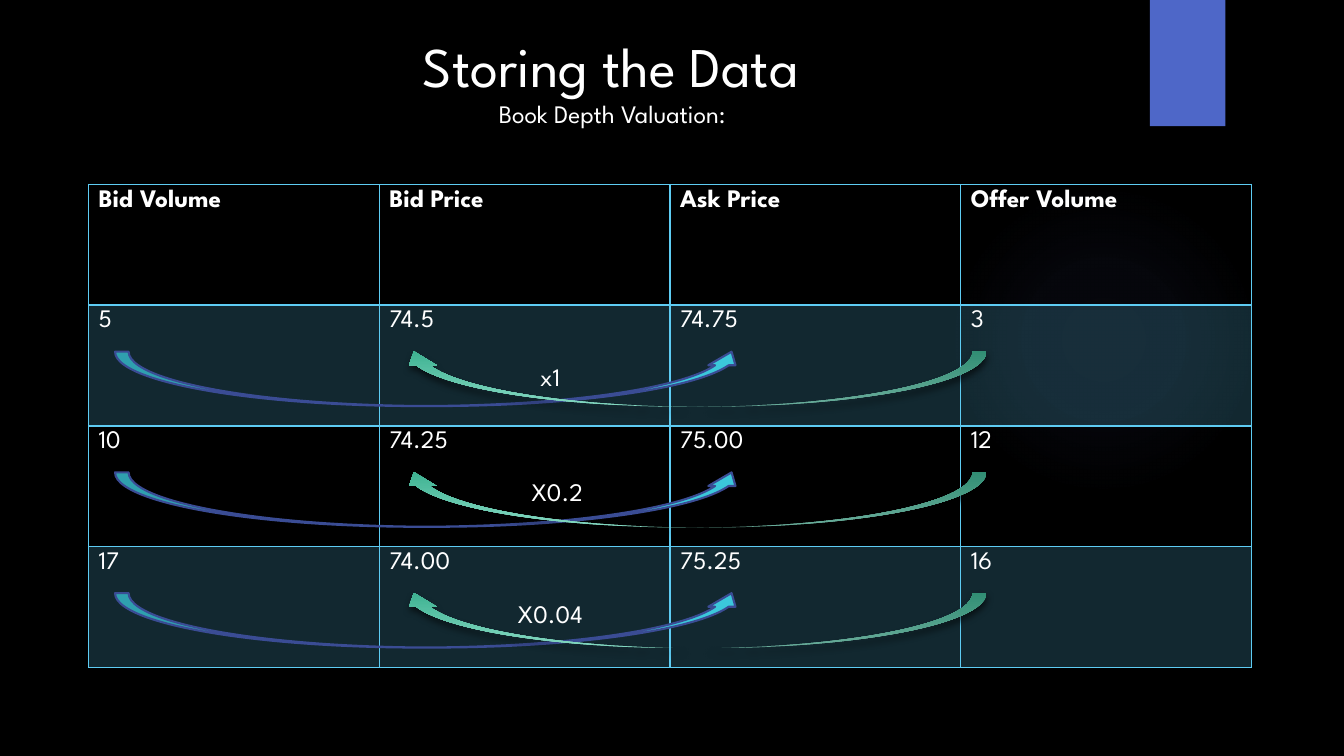
import pptx
import pptx.dml.color
import pptx.enum.shapes
import pptx.enum.text
import pptx.oxml
import pptx.oxml.ns
import pptx.util

Cm = pptx.util.Cm
Pt = pptx.util.Pt
KIND = pptx.enum.shapes.MSO_SHAPE
ALIGN = pptx.enum.text.PP_ALIGN
FONT = "League Spartan"
WHITE, SKY = "FFFFFF", "5ECCF3"
ROWS = [
    ("Bid Volume", "Bid Price", "Ask Price", "Offer Volume"),
    ("5", "74.5", "74.75", "3"),
    ("10", "74.25", "75.00", "12"),
    ("17", "74.00", "75.25", "16"),
]
# label, its left and top in the row, its width
SCALES = [("x1", 11, 1.29, 1.27), ("X0.2", 10.85, 1.15, 1.93), ("X0.04", 10.47, 1.18, 2.34)]


def color(code):
    return pptx.dml.color.RGBColor.from_string(code)


def parse(tag, body):
    """Make a DrawingML element from its tag with attributes and its content."""
    name = tag.split()[0]
    return pptx.oxml.parse_xml(
        f'<a:{tag} {pptx.oxml.ns.nsdecls("a")}>{body}</a:{name}>')


def tint(code, alpha=100):
    """Give the XML of a colour; alpha is in percent."""
    return f'<a:srgbClr val="{code}"><a:alpha val="{alpha * 1000}"/></a:srgbClr>'


def write(frame, text, size=18, code=WHITE, bold=False, align=ALIGN.LEFT):
    para = frame.paragraphs[0]
    para.alignment = align
    run = para.add_run()
    run.text = text
    font = run.font
    font.name, font.size, font.bold = FONT, Pt(size), bold
    font.color.rgb = color(code)


def label(slide, box, text, **style):
    frame = slide.shapes.add_textbox(*map(Cm, box)).text_frame
    frame.word_wrap = True
    write(frame, text, **style)


def shape(slide, kind, box, fill=None, line=None):
    part = slide.shapes.add_shape(kind, *map(Cm, box))
    part.shadow.inherit = False
    if fill:
        part.fill.solid()
        part.fill.fore_color.rgb = color(fill)
    if line:
        part.line.color.rgb = color(line)
        part.line.width = Pt(1.5)
    else:
        part.line.fill.background()
    return part


def blend(part, stops, way):
    """Fill with a gradient of (place, colour, alpha) stops along the given way."""
    part.fill.background()
    marks = "".join(f'<a:gs pos="{pos * 1000}">{tint(code, alpha)}</a:gs>'
                    for pos, code, alpha in stops)
    old = part.element.spPr.find(pptx.oxml.ns.qn("a:noFill"))
    new = parse('gradFill rotWithShape="1"', f"<a:gsLst>{marks}</a:gsLst>{way}")
    part.element.spPr.replace(old, new)


def shade(part, alpha, blur, gap):
    """Cast a black shadow downwards."""
    tag = (f'outerShdw blurRad="{Pt(blur)}" dist="{Pt(gap)}" dir="5400000" '
           'rotWithShape="0"')
    host = part.element.spPr.find(pptx.oxml.ns.qn("a:effectLst"))
    host.append(parse(tag, tint("000000", alpha)))


def decor(slide):
    glow = shape(slide, KIND.OVAL, (23.9, 4.65, 7.82, 7.82))
    blend(glow, [(0, "5968B0", 7), (36, "5968B0", 6), (69, "5968B0", 0)],
          '<a:path path="circle"><a:fillToRect l="50000" t="50000" r="50000" '
          'b="50000"/></a:path>')
    flag = shape(slide, KIND.RECTANGLE, (28.98, 0, 1.9, 3.18), "4E67C8")
    shade(flag, 45, 3, 2)


def heading(slide, left, top):
    label(slide, (left, top, 12.24, 1.96), "Storing the Data", size=40)
    label(slide, (left + 1.91, top + 1.7, 15, 1.02), "Book Depth Valuation:")


def dress(cell, row):
    """Set the borders and the fill of a cell."""
    props = cell._tc.get_or_add_tcPr()
    thick = {(0, "B"), (1, "T")}
    for side in "LRTB":
        width = Pt(2 if (row, side) in thick else 1)
        props.append(parse(f'ln{side} w="{width}"',
                           f"<a:solidFill>{tint(SKY)}</a:solidFill>"))
    if row % 2:
        props.append(parse("solidFill", tint(SKY, 20)))
    else:
        cell.fill.background()


def book(slide, box):
    table = slide.shapes.add_table(len(ROWS), len(ROWS[0]), *map(Cm, box)).table
    table.first_row = table.horz_banding = False
    for row, texts in enumerate(ROWS):
        table.rows[row].height = Cm(box[3] / len(ROWS))
        for col, text in enumerate(texts):
            cell = table.cell(row, col)
            write(cell.text_frame, text, bold=row == 0)
            dress(cell, row)


def sweep(slide, left, top, scale):
    """Draw the two crossing arrows and the factor of one table row."""
    text, shift, drop, width = scale
    shape(slide, KIND.CURVED_UP_ARROW, (left + 0.67, top + 1.17, 15.88, 1.37),
          "3BC8DB", "3A4C94")
    label(slide, (left + shift, top + drop, width, 1.02), text, align=ALIGN.CENTER)
    back = shape(slide, KIND.CURVED_DOWN_ARROW, (left + 7.85, top + 1.16, 14.78, 1.4))
    back.rotation = 180
    blend(back, [(0, "85D9C2", 100), (100, "3EB292", 100)],
          '<a:lin ang="5400000" scaled="0"/>')
    shade(back, 60, 5, 3)


def main():
    deck = pptx.Presentation()
    deck.slide_width, deck.slide_height = Cm(33.87), Cm(19.05)
    slide = deck.slides.add_slide(deck.slide_layouts[6])
    slide.background.fill.solid()
    slide.background.fill.fore_color.rgb = color("000000")
    decor(slide)
    box = left, top, _, height = 2.23, 4.65, 29.31, 12.17
    book(slide, box)
    heading(slide, 10.41, 0.66)
    for row, scale in enumerate(SCALES, 1):
        sweep(slide, left, top + row * height / len(ROWS), scale)
    deck.save("out.pptx")


if __name__ == "__main__":
    main()
